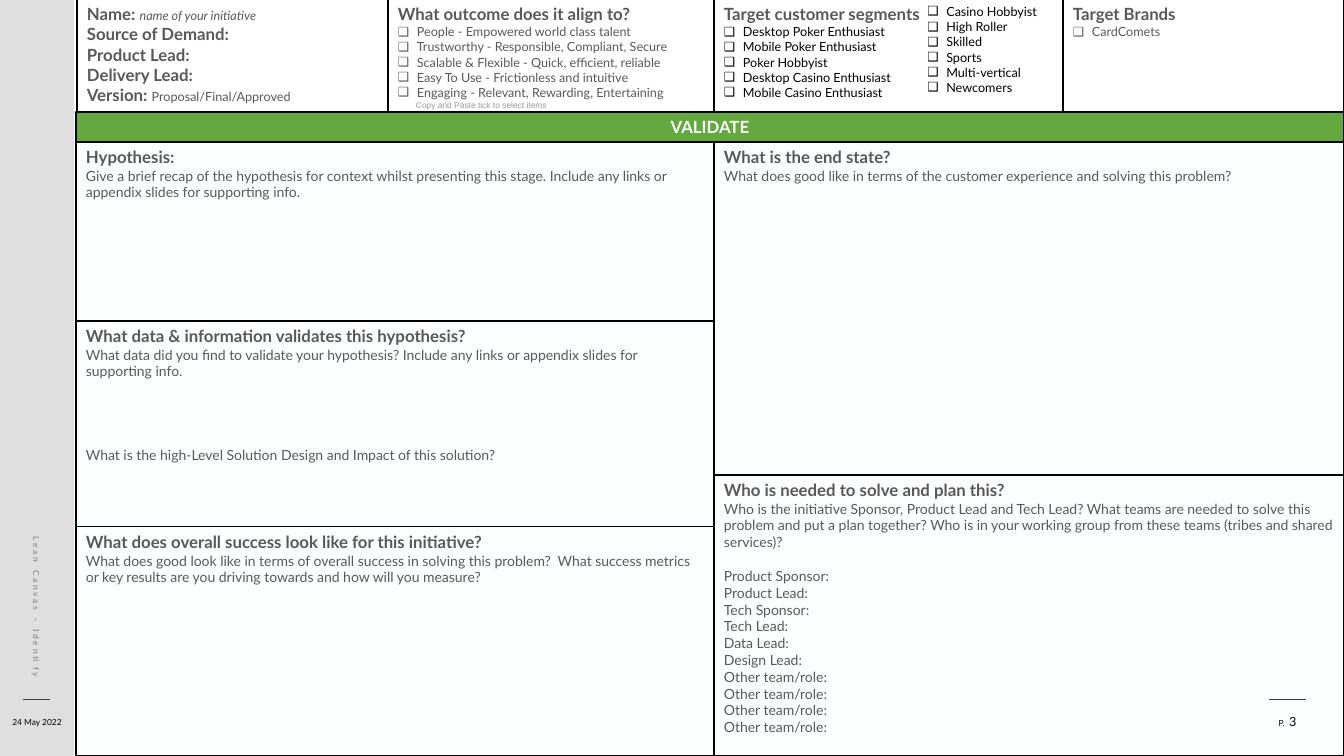
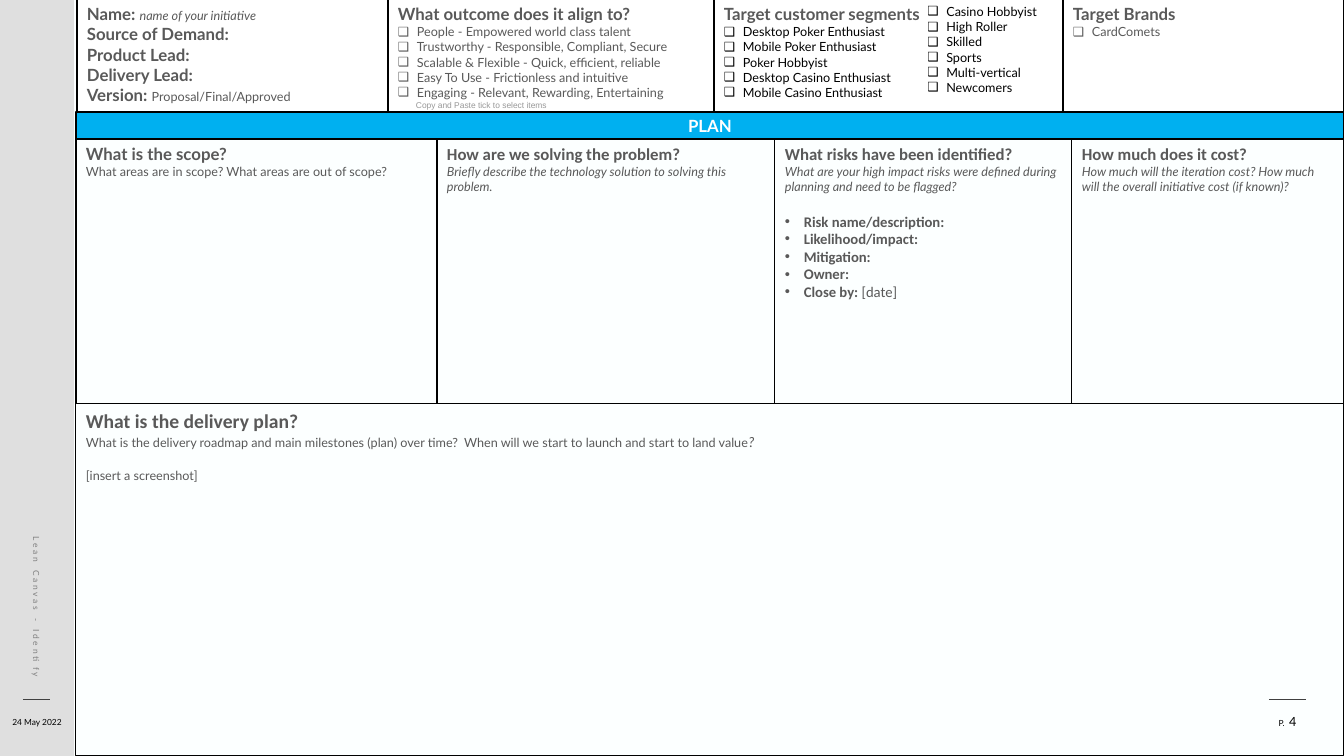
from dataclasses import dataclass
from itertools import pairwise

from lxml.etree import SubElement
from pptx import Presentation
from pptx.dml.color import RGBColor
from pptx.enum.shapes import MSO_CONNECTOR, MSO_SHAPE
from pptx.enum.text import MSO_ANCHOR, PP_ALIGN
from pptx.oxml.ns import qn
from pptx.util import Emu, Pt


@dataclass(frozen=True)
class Theme:
    page: str = "FCFFFF"
    rail: str = "DFDFDF"
    cell: str = "FFFFFF"
    validate: str = "63A93D"
    plan: str = "00B0F0"
    border: str = "000000"
    rule: str = "404040"
    ink: str = "595959"
    black: str = "000000"
    white: str = "FFFFFF"
    caption: str = "808080"
    hint: str = "989898"
    font: str = "Lato"
    alt_font: str = "Calibri"
    hint_font: str = "Arial"
    tiny: float = 6
    small: float = 9
    body: float = 10
    risk: float = 10.5
    title: float = 12
    large: float = 14


T = Theme()
WIDTH, HEIGHT = 1344, 756
INDENT = 19
TICK, DOT = "\u2751", "\u2022"

TITLE = dict(size=T.title, bold=True)
ALT_TITLE = dict(TITLE, font=T.alt_font)
BODY = dict(size=T.body)
SMALL = dict(size=T.small)
PROMPT = dict(size=T.small, italic=True)
CHECK = dict(size=T.small, bullet=TICK)
RISK = dict(size=T.risk, bold=True, font=T.alt_font, bullet=DOT)
TINY = dict(size=T.tiny, color=T.black)


def px(n):
    return Emu(round(n * 914400 / 100.8))


def rgb(value):
    return RGBColor.from_string(value)


def write(tf, text, size=T.body, bold=False, italic=False, color=T.ink, font=T.font,
          align=PP_ALIGN.LEFT, bullet=None, before=0, after=0, spacing=None, join=False):
    p = tf.paragraphs[-1]
    if not join:
        if p.runs:
            p = tf.add_paragraph()
        p.alignment = align
        p.space_before, p.space_after = Pt(before), Pt(after)
        if bullet:
            pPr = p._p.get_or_add_pPr()
            pPr.set("marL", str(px(INDENT)))
            pPr.set("indent", str(-px(INDENT)))
            SubElement(pPr, qn("a:buFont")).set("typeface", T.hint_font)
            SubElement(pPr, qn("a:buChar")).set("char", bullet)
    r = p.add_run()
    r.text = text
    r.font.size, r.font.bold, r.font.italic = Pt(size), bold, italic
    r.font.name = font
    r.font.color.rgb = rgb(color)
    if spacing:
        r._r.get_or_add_rPr().set("spc", str(spacing * 100))


def write_all(tf, items):
    for text, style in items:
        write(tf, text, **style)


def add_panel(slide, box, items=(), fill=None, line=0.75, anchor=MSO_ANCHOR.TOP, cols=1):
    sp = slide.shapes.add_shape(MSO_SHAPE.RECTANGLE, *map(px, box))
    sp.shadow.inherit = False
    if fill:
        sp.fill.solid()
        sp.fill.fore_color.rgb = rgb(fill)
    else:
        sp.fill.background()
    if line:
        sp.line.color.rgb = rgb(T.border)
        sp.line.width = Pt(line)
    else:
        sp.line.fill.background()
    tf = sp.text_frame
    tf.word_wrap = True
    tf.vertical_anchor = anchor
    if cols > 1:
        tf._txBody.bodyPr.set("numCol", str(cols))
    write_all(tf, items)
    return sp


def add_label(slide, box, items, margins=(0, 0, 0, 0), anchor=MSO_ANCHOR.TOP):
    sp = slide.shapes.add_textbox(*map(px, box))
    tf = sp.text_frame
    tf.word_wrap = True
    tf.vertical_anchor = anchor
    tf.margin_left, tf.margin_top, tf.margin_right, tf.margin_bottom = map(px, margins)
    write_all(tf, items)
    return sp


def add_rule(slide, x, y, w):
    c = slide.shapes.add_connector(MSO_CONNECTOR.STRAIGHT, px(x), px(y), px(x + w), px(y))
    c.line.color.rgb = rgb(T.rule)
    c.line.width = Pt(0.5)
    SubElement(c._element.spPr, qn("a:effectLst"))


def add_rail(slide, box):
    x, y, w, h = box
    add_panel(slide, box, fill=T.rail, line=0)
    add_rule(slide, x + 23, y + h - 57, 27)
    add_label(slide, (x + 5, y + h - 39, w - 10, 23),
              [("24 May 2022", dict(TINY, align=PP_ALIGN.CENTER, after=12))])
    caption = add_label(slide, (x - 156, y + 482, 385, 15),
                        [("Lean Canvas - Identify\u00a0",
                          dict(size=T.tiny, color=T.caption, spacing=2, align=PP_ALIGN.RIGHT))],
                        anchor=MSO_ANCHOR.MIDDLE)
    caption.rotation = 90


def add_page_mark(slide, box, number):
    x, y, w, h = box
    add_rule(slide, x, y - 19, w)
    add_label(slide, box,
              [("P.  ", dict(TINY, align=PP_ALIGN.CENTER)),
               (str(number), dict(SMALL, color=T.black, join=True))],
              margins=(4, 4, 4, 20), anchor=MSO_ANCHOR.MIDDLE)


def add_header(slide, box):
    x, y, w, h = box
    outcome, segments, brands, right = x + 311, x + 637, x + 986, x + w
    checks = ["Desktop Poker Enthusiast", "Mobile Poker Enthusiast", "Poker Hobbyist",
              "Desktop Casino Enthusiast", "Mobile Casino Enthusiast", "Casino Hobbyist",
              "High Roller", "Skilled", "Sports", "Multi-vertical", "Newcomers"]
    outcomes = ["People - Empowered world class talent",
                "Trustworthy - Responsible, Compliant, Secure",
                "Scalable & Flexible - Quick, efficient, reliable",
                "Easy To Use - Frictionless and intuitive",
                "Engaging - Relevant, Rewarding, Entertaining"]
    cells = [
        (x, outcome, 1,
         [("Name: ", TITLE), ("name of your initiative", dict(PROMPT, join=True)),
          ("Source of Demand:", TITLE), ("Product Lead:", TITLE), ("Delivery Lead:", TITLE),
          ("Version: ", TITLE), ("Proposal/Final/Approved", dict(SMALL, join=True))]),
        (segments, right, 3,
         [("Target customer segments", TITLE),
          *((text, dict(CHECK, color=T.black)) for text in checks)]),
        (outcome, segments, 1,
         [("What outcome does it align to?", TITLE), *((text, CHECK) for text in outcomes)]),
        (brands, right, 1, [("Target Brands", TITLE), ("CardComets", CHECK)]),
    ]
    for left, end, cols, items in cells:
        add_panel(slide, (left, y, end - left, h), items, fill=T.cell, line=1, cols=cols)
    add_label(slide, (outcome + 28, y + h - 12, 300, 10),
              [("Copy and Paste tick to select items",
                dict(size=T.tiny, color=T.hint, font=T.hint_font))])


def add_band(slide, box, text, fill):
    add_panel(slide, box, [(text, dict(TITLE, color=T.white, align=PP_ALIGN.CENTER))],
              fill=fill, line=1, anchor=MSO_ANCHOR.MIDDLE)


def add_validate(slide, box):
    x, y, w, h = box
    middle, right, bottom = x + 638, x + w, y + h
    data, success, team = y + 179, y + 385, y + 333
    roles = ["Product Lead:", "Tech Sponsor:", "Tech Lead:", "Data Lead:", "Design Lead:",
             *["Other team/role:"] * 4]
    panels = [
        (x, y, middle, data,
         [("Hypothesis:", TITLE),
          ("Give a brief recap of the hypothesis for context whilst presenting this stage. "
           "Include any links or appendix slides for supporting info.", BODY)]),
        (x, data, middle, success,
         [("What data & information validates this hypothesis?", TITLE),
          ("What data did you find to validate your hypothesis? Include any links or "
           "appendix slides for supporting info.", BODY),
          ("What is the high-Level Solution Design and Impact of this solution?",
           dict(BODY, before=48))]),
        (x, success, middle, bottom,
         [("What does overall success look like for this initiative?", TITLE),
          ("What does good look like in terms of overall success in solving this problem?\u00a0 "
           "What success metrics or key results are you driving towards and how will you "
           "measure?", BODY)]),
        (middle, y, right, team,
         [("What is the end state?", TITLE),
          ("What does good like in terms of the customer experience and solving this problem?",
           BODY)]),
        (middle, team, right, bottom,
         [("Who is needed to solve and plan this?", TITLE),
          ("Who is the initiative Sponsor, Product Lead and Tech Lead? What teams are needed "
           "to solve this problem and put a plan together? Who is in your working group from "
           "these teams (tribes and shared services)?", BODY),
          ("Product Sponsor:", dict(BODY, before=12)),
          *((role, BODY) for role in roles)]),
    ]
    for left, top, end, base, items in panels:
        add_panel(slide, (left, top, end - left, base - top), items)


def add_plan(slide, box):
    x, y, w, h = box
    row = 265
    edges = [x, x + 361, x + 699, x + 996, x + w]
    columns = [
        [("What\u00a0is the scope?", TITLE),
         ("What areas are in scope? What areas are out of scope?", SMALL)],
        [("How are we solving the problem?", ALT_TITLE),
         ("Briefly describe the technology solution to solving this problem.", PROMPT)],
        [("What risks have been identified?", ALT_TITLE),
         ("What are your high impact risks were defined during planning and need to be "
          "flagged?", PROMPT),
         ("Risk name/description:", dict(RISK, before=12.8)),
         ("Likelihood/impact:", RISK), ("Mitigation:", RISK), ("Owner:", RISK),
         ("Close by: ", RISK),
         ("[date]", dict(size=T.risk, font=T.alt_font, join=True))],
        [("How much does it cost?", ALT_TITLE),
         ("How much will the iteration cost?\u00a0How much will the overall "
          "initiative\u00a0cost (if known)?", PROMPT)],
    ]
    for (left, end), items in zip(pairwise(edges), columns):
        add_panel(slide, (left, y, end - left, row), items)
    add_panel(slide, (x, y + row, w, h - row),
              [("What is the delivery plan?", dict(ALT_TITLE, size=T.large)),
               ("What is the delivery roadmap and main milestones (plan) over time?\u00a0 When "
                "will we start to launch and start to land value", SMALL),
               ("?", dict(size=T.risk, italic=True, font=T.alt_font, join=True)),
               ("[insert a screenshot]", dict(SMALL, before=12.8))])


def add_canvas(prs, number, stage, color, band_height, add_body):
    slide = prs.slides.add_slide(prs.slide_layouts[6])
    slide.background.fill.solid()
    slide.background.fill.fore_color.rgb = rgb(T.page)
    left, top = 76, 112
    body = top + band_height
    add_rail(slide, (0, 0, 74, HEIGHT))
    add_page_mark(slide, (1269, 718, 37, 23), number)
    add_band(slide, (left, top, WIDTH - left, band_height), stage, color)
    add_header(slide, (left + 1, -1, WIDTH - left - 1, top + 1))
    add_body(slide, (left, body, WIDTH - left, HEIGHT - body))


prs = Presentation()
prs.slide_width, prs.slide_height = px(WIDTH), px(HEIGHT)
add_canvas(prs, 3, "VALIDATE", T.validate, 30, add_validate)
add_canvas(prs, 4, "PLAN", T.plan, 27, add_plan)
prs.save("out.pptx")
